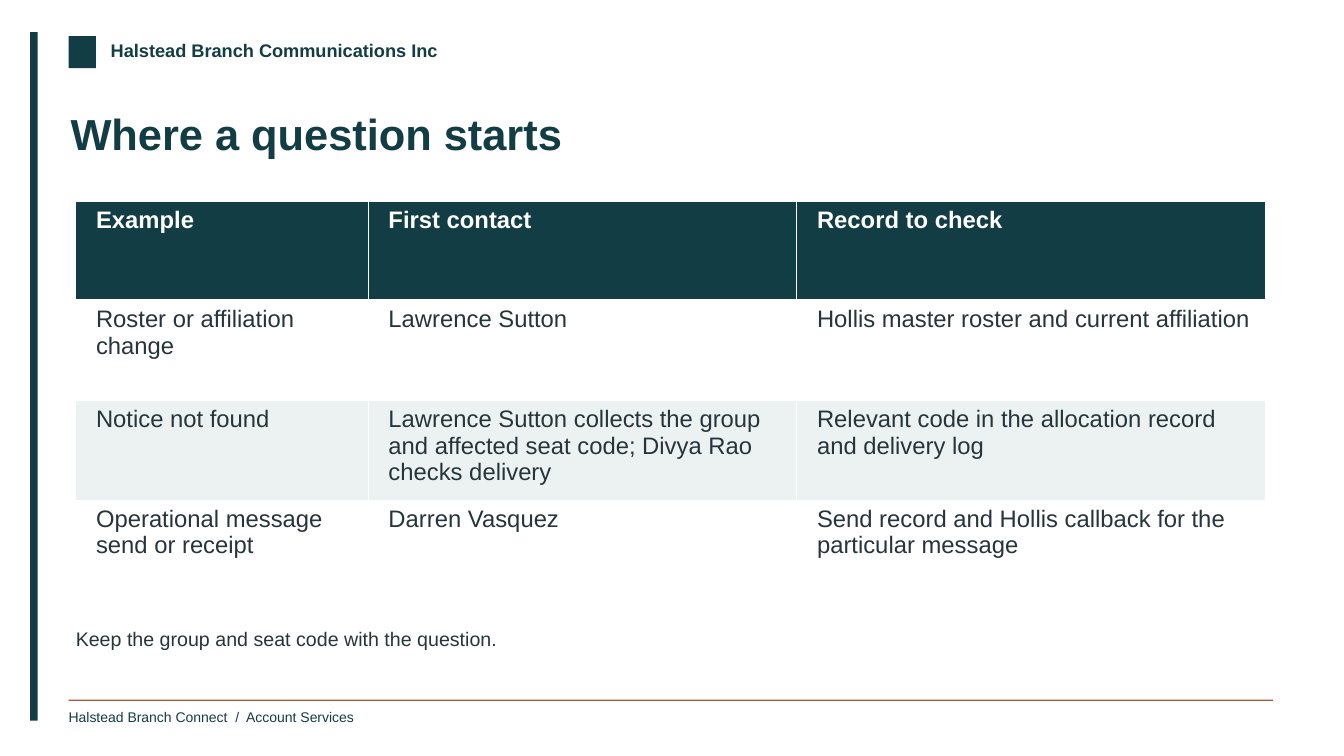
import pptx
import pptx.dml.color
import pptx.enum.shapes
import pptx.enum.text
import pptx.oxml.ns
import pptx.util
from lxml import etree

Cm = pptx.util.Cm
TEAL, RUST, INK, WHITE, MIST = "133D45", "AF5636", "26353B", "FFFFFF", "EBF2F1"


def color(hex_value):
    return pptx.dml.color.RGBColor.from_string(hex_value)


def apply(target, values):
    for name, value in values.items():
        setattr(target, name, value)


class SlideBuilder:
    font_name = "Arial"
    cell_format = {
        "margin_left": Cm(0.51), "margin_right": Cm(0.3),
        "margin_top": Cm(0.13), "margin_bottom": Cm(0.13),
    }

    def __init__(self, slide):
        self.slide = slide

    def style(self, paragraph, size, hex_value, bold=False):
        font = paragraph.runs[0].font
        apply(font, {"name": self.font_name, "size": pptx.util.Pt(size), "bold": bold})
        font.color.rgb = color(hex_value)

    def block(self, left, top, width, height, hex_value):
        bar = self.slide.shapes.add_shape(
            pptx.enum.shapes.MSO_SHAPE.RECTANGLE,
            Cm(left), Cm(top), Cm(width), Cm(height))
        bar.shadow.inherit = False
        bar.fill.solid()
        bar.fill.fore_color.rgb = color(hex_value)
        bar.line.fill.background()

    def text(self, left, top, width, height, words, size, hex_value,
             bold=False, wrap=True, inset_top=0):
        frame = self.slide.shapes.add_textbox(
            Cm(left), Cm(top), Cm(width), Cm(height)).text_frame
        apply(frame, {
            "margin_left": 0, "margin_right": 0, "margin_bottom": 0,
            "margin_top": Cm(inset_top), "word_wrap": wrap,
            "auto_size": pptx.enum.text.MSO_AUTO_SIZE.NONE,
            "vertical_anchor": pptx.enum.text.MSO_ANCHOR.TOP,
        })
        frame.text = words
        self.style(frame.paragraphs[0], size, hex_value, bold)

    def borders(self, cell, bottom_width):
        properties = cell._tc.get_or_add_tcPr()
        widths = {"a:lnL": 1, "a:lnR": 1, "a:lnT": 1, "a:lnB": bottom_width}
        for position, (tag, width) in enumerate(widths.items()):
            edge = etree.Element(pptx.oxml.ns.qn(tag), w=str(pptx.util.Pt(width)))
            fill = etree.SubElement(edge, pptx.oxml.ns.qn("a:solidFill"))
            etree.SubElement(fill, pptx.oxml.ns.qn("a:srgbClr"), val=WHITE)
            properties.insert(position, edge)

    def table(self, left, top, column_widths, row_height, rows, size):
        grid = self.slide.shapes.add_table(
            len(rows), len(column_widths), Cm(left), Cm(top),
            Cm(sum(column_widths)), Cm(row_height * len(rows))).table
        for column, width in zip(grid.columns, column_widths):
            column.width = Cm(width)
        for row_index, entries in enumerate(rows):
            heading = row_index == 0
            fill = TEAL if heading else (WHITE if row_index % 2 else MIST)
            for column_index, words in enumerate(entries):
                cell = grid.cell(row_index, column_index)
                apply(cell, self.cell_format)
                cell.text = words
                self.style(cell.text_frame.paragraphs[0], size,
                           WHITE if heading else INK, heading)
                cell.fill.solid()
                cell.fill.fore_color.rgb = color(fill)
                self.borders(cell, 3 if heading else 1)


def main():
    deck = pptx.Presentation()
    apply(deck, {"slide_width": Cm(33.87), "slide_height": Cm(19.05)})
    builder = SlideBuilder(deck.slides.add_slide(deck.slide_layouts[6]))

    builder.block(0.76, 0.81, 0.19, 17.35, TEAL)
    builder.block(1.73, 0.91, 0.69, 0.81, TEAL)
    builder.text(2.79, 0.99, 9.02, 0.69, "Halstead Branch Communications Inc",
                 13, TEAL, bold=True, wrap=False)
    builder.block(1.73, 17.63, 30.35, 0.03, RUST)
    builder.text(1.73, 17.86, 6.6, 0.58, "Halstead Branch Connect  /  Account Services",
                 10, TEAL, wrap=False)
    builder.text(1.78, 2.59, 30.23, 2.18, "Where a question starts",
                 31, TEAL, bold=True, inset_top=0.1)
    builder.text(1.91, 15.8, 30.02, 1.12,
                 "Keep the group and seat code with the question.", 14, INK)

    contacts = [
        ("Example", "First contact", "Record to check"),
        ("Roster or affiliation change", "Lawrence Sutton",
         "Hollis master roster and current affiliation"),
        ("Notice not found",
         "Lawrence Sutton collects the group and affected seat code; "
         "Divya Rao checks delivery",
         "Relevant code in the allocation record and delivery log"),
        ("Operational message send or receipt", "Darren Vasquez",
         "Send record and Hollis callback for the particular message"),
    ]
    builder.table(1.91, 5.08, [7.37, 10.8, 11.81], 2.51, contacts, 17)
    deck.save("out.pptx")


if __name__ == "__main__":
    main()
